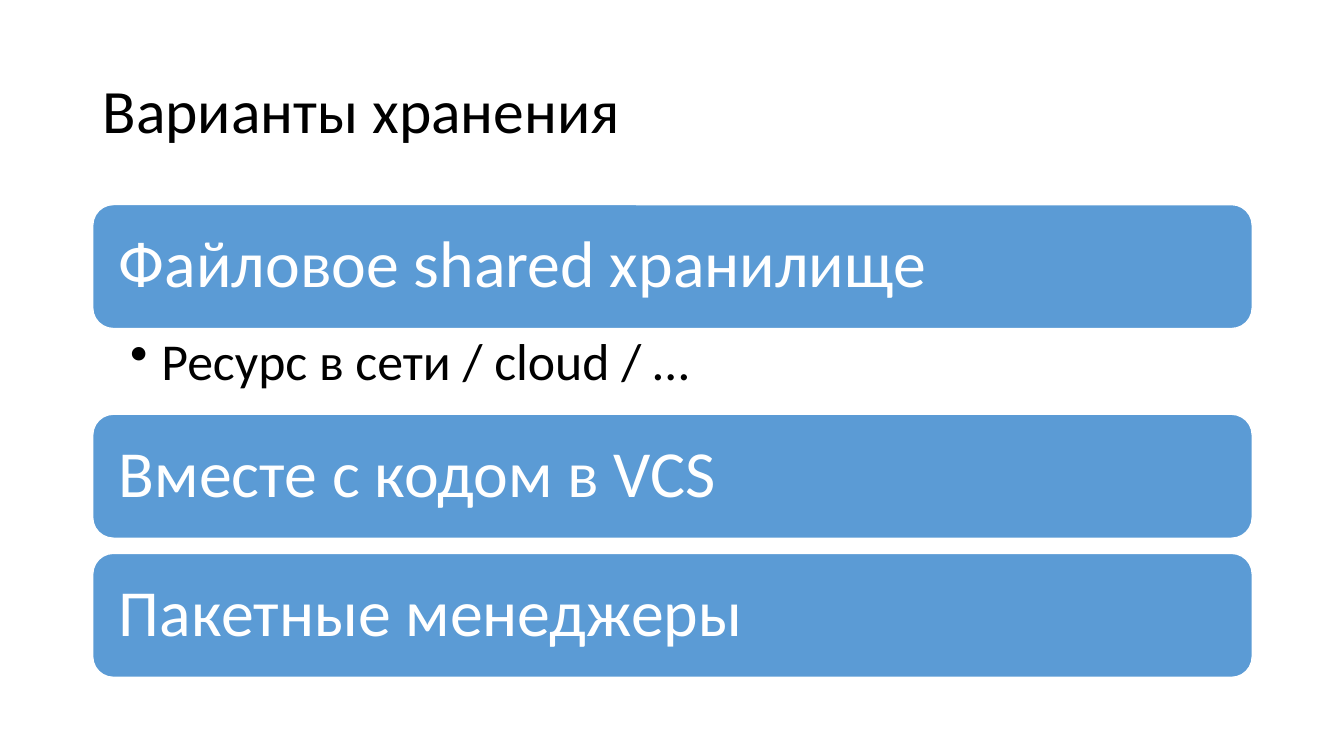
from dataclasses import dataclass

from lxml import etree
from pptx import Presentation
from pptx import util as u
from pptx.dml.color import RGBColor
from pptx.enum import shapes, text
from pptx.oxml import ns

BLACK = RGBColor(0x00, 0x00, 0x00)
WHITE = RGBColor(0xFF, 0xFF, 0xFF)
BLUE = RGBColor(0x5B, 0x9B, 0xD5)
FONT = "Calibri"

# Layout in inches: one column, rows stacked from STACK_TOP
SLIDE_W, SLIDE_H = 13.33, 7.5
LEFT, WIDTH = 0.92, 11.5
TITLE_TOP, TITLE_H = 0.4, 1.45
STACK_TOP = 2.03
BANNER_H, DETAIL_H, GAP = 1.23, 0.85, 0.15


@dataclass(frozen=True)
class StorageOption:
    heading: str
    detail: str = ""


OPTIONS = (
    StorageOption("Файловое shared хранилище", "Ресурс в сети / cloud / …"),
    StorageOption("Вместе с кодом в VCS"),
    StorageOption("Пакетные менеджеры"),
)


def write(shape, words: str, *, size: float, color: RGBColor,
          inset: tuple[float, float] = (0.1, 0.05),
          anchor=text.MSO_ANCHOR.MIDDLE, bullet_indent: float = 0) -> None:
    """Fill a shape with one left-aligned paragraph, bulleted if indented."""
    frame = shape.text_frame
    frame.word_wrap = True
    frame.vertical_anchor = anchor
    frame.margin_left = frame.margin_right = u.Inches(inset[0])
    frame.margin_top = frame.margin_bottom = u.Inches(inset[1])
    paragraph = frame.paragraphs[0]
    paragraph.alignment = text.PP_ALIGN.LEFT
    paragraph.line_spacing = 0.9
    run = paragraph.add_run()
    run.text = words
    run.font.name, run.font.size = FONT, u.Pt(size)
    run.font.color.rgb = color
    if bullet_indent:
        props = paragraph._p.get_or_add_pPr()
        props.set("marL", str(u.Inches(bullet_indent)))
        props.set("indent", str(-u.Inches(bullet_indent)))
        etree.SubElement(props, ns.qn("a:buChar")).set("char", "•")


def row_box(top: float, height: float) -> tuple[u.Length, ...]:
    return tuple(u.Inches(n) for n in (LEFT, top, WIDTH, height))


def draw_option(slide, option: StorageOption, top: float) -> float:
    """Draw a banner with its optional detail; return the next row's top."""
    banner = slide.shapes.add_shape(
        shapes.MSO_SHAPE.ROUNDED_RECTANGLE, *row_box(top, BANNER_H))
    banner.shadow.inherit = False
    banner.fill.solid()
    banner.fill.fore_color.rgb = BLUE
    banner.line.color.rgb = WHITE
    banner.line.width = u.Pt(1)
    write(banner, option.heading, size=47, color=WHITE, inset=(0.2, 0.2))
    bottom = top + BANNER_H
    if not option.detail:
        return bottom + GAP
    detail = slide.shapes.add_textbox(*row_box(bottom, DETAIL_H))
    write(detail, option.detail, size=37, color=BLACK, inset=(0.37, 0.07),
          anchor=text.MSO_ANCHOR.TOP, bullet_indent=0.31)
    return bottom + DETAIL_H


deck = Presentation()
deck.slide_width, deck.slide_height = u.Inches(SLIDE_W), u.Inches(SLIDE_H)
slide = deck.slides.add_slide(deck.slide_layouts[6])

# Title
title = slide.shapes.add_textbox(*row_box(TITLE_TOP, TITLE_H))
write(title, "Варианты хранения", size=44, color=BLACK)

# Storage options
next_top = STACK_TOP
for option in OPTIONS:
    next_top = draw_option(slide, option, next_top)

deck.save("out.pptx")
